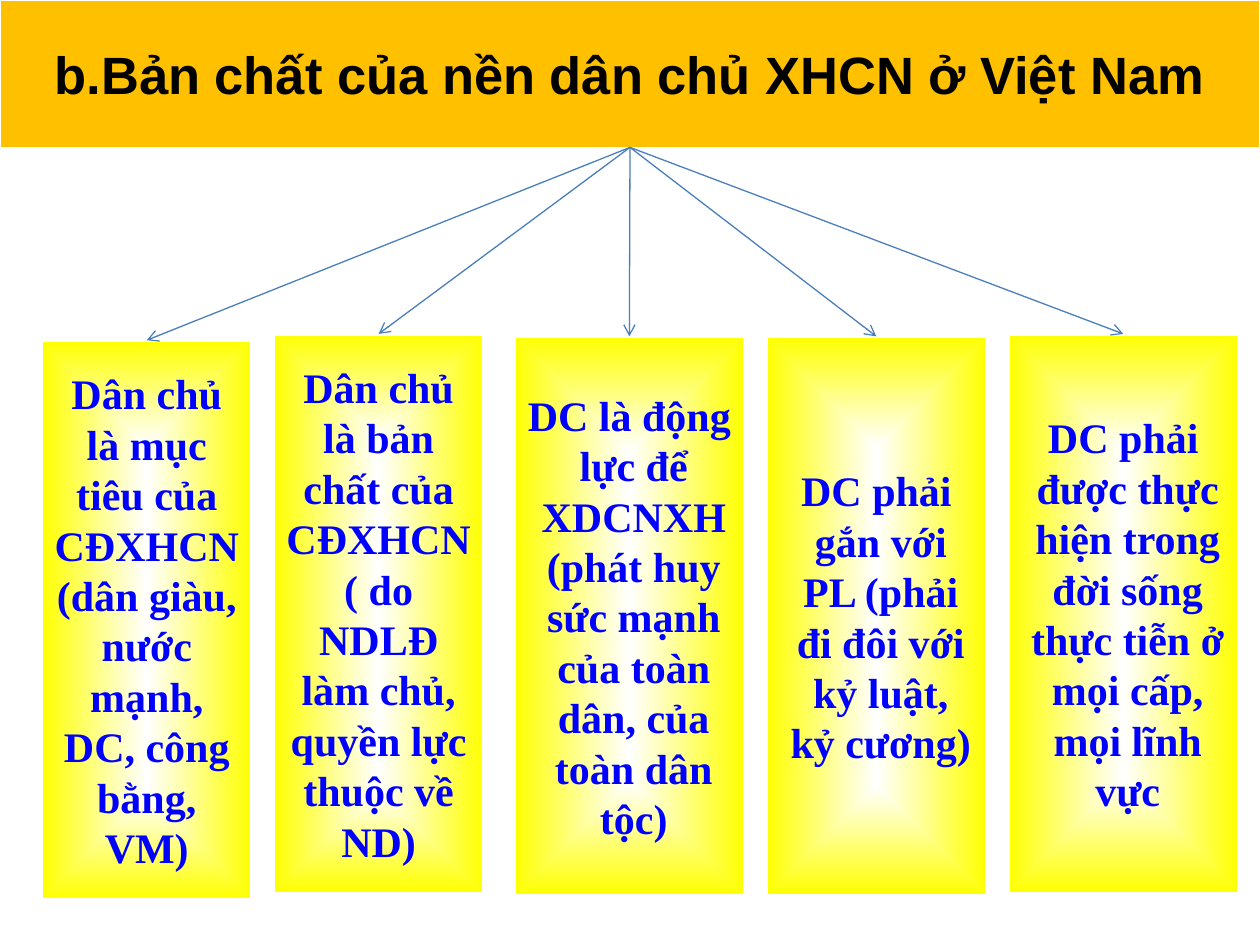
from lxml import etree
from pptx import Presentation
from pptx.dml.color import RGBColor
from pptx.enum.shapes import MSO_CONNECTOR, MSO_SHAPE
from pptx.enum.text import MSO_ANCHOR, MSO_AUTO_SIZE, PP_ALIGN
from pptx.oxml import parse_xml
from pptx.oxml.ns import nsdecls, qn
from pptx.util import Inches, Pt

STRAIGHT = MSO_CONNECTOR.STRAIGHT
RECTANGLE = MSO_SHAPE.RECTANGLE
MIDDLE = MSO_ANCHOR.MIDDLE
CENTER = PP_ALIGN.CENTER

WHITE = RGBColor(0xFF, 0xFF, 0xFF)
BLACK = RGBColor(0x00, 0x00, 0x00)
ORANGE = RGBColor(0xFF, 0xC0, 0x00)
YELLOW = RGBColor(0xFF, 0xFF, 0x00)
BLUE = RGBColor(0x00, 0x00, 0xFF)
ARROW_BLUE = RGBColor(0x4B, 0x7E, 0xBC)

BANNER_HEIGHT = 1.17
BOX_HEIGHT = 4.44

# left, top, width, hanging indent, text
BOXES = [
    (0.33, 2.7, 1.67, 0,
     "Dân chủ là mục tiêu của CĐXHCN (dân giàu, nước mạnh, DC, công bằng, VM)"),
    (2.17, 2.65, 1.67, 0,
     "Dân chủ là bản chất của CĐXHCN ( do NDLĐ làm chủ, quyền lực thuộc về ND)"),
    (4.08, 2.67, 1.83, 0.07,
     "DC là động lực để XDCNXH (phát huy sức mạnh của toàn dân, của toàn dân tộc)"),
    (6.08, 2.67, 1.75, 0.07,
     "DC phải gắn với PL (phải đi đôi với kỷ luật, kỷ cương)"),
    (8, 2.65, 1.83, 0.07,
     "DC phải được thực hiện trong đời sống thực tiễn ở mọi cấp, mọi lĩnh vực"),
]


def write_text(shape, text, font_name, size, color):
    text_frame = shape.text_frame
    text_frame.text = text
    text_frame.vertical_anchor = MIDDLE
    paragraph = text_frame.paragraphs[0]
    paragraph.alignment = CENTER
    font = paragraph.runs[0].font
    font.name = font_name
    font.size = Pt(size)
    font.bold = True
    font.color.rgb = color
    return paragraph


def fill_from_centre(shape, inner, outer):
    """Fill with a gradient that spreads from the middle to the edges."""
    shape.fill.gradient()
    for stop, color in zip(shape.fill.gradient_stops, (inner, outer)):
        stop.color.rgb = color
    gradient = shape._element.spPr.find(qn("a:gradFill"))
    gradient.replace(gradient.find(qn("a:lin")), parse_xml(
        f'<a:path {nsdecls("a")} path="shape">'
        '<a:fillToRect l="50000" t="50000" r="50000" b="50000"/></a:path>'))


presentation = Presentation()
presentation.slide_width = Inches(10)
presentation.slide_height = Inches(7.5)
slide = presentation.slides.add_slide(presentation.slide_layouts[5])

title = slide.shapes.title
title.left, title.top = Inches(0), Inches(0)
title.width, title.height = Inches(10), Inches(BANNER_HEIGHT)
title.fill.solid()
title.fill.fore_color.rgb = ORANGE
title.line.color.rgb = WHITE
title.line.width = Pt(0.75)
write_text(title, "b.Bản chất của nền dân chủ XHCN ở Việt Nam", "Arial", 30, BLACK)
title.text_frame.word_wrap = False
title.text_frame.auto_size = MSO_AUTO_SIZE.NONE

for left, top, width, indent, text in BOXES:
    box = slide.shapes.add_shape(
        RECTANGLE, Inches(left), Inches(top), Inches(width), Inches(BOX_HEIGHT))
    box.shadow.inherit = False
    fill_from_centre(box, WHITE, YELLOW)
    box.line.color.rgb = WHITE
    box.line.width = Pt(2)
    box.text_frame.word_wrap = True
    paragraph = write_text(box, text, "Times New Roman", 24, BLUE)
    if indent:
        properties = paragraph._p.get_or_add_pPr()
        properties.set("marL", str(Inches(indent)))
        properties.set("indent", str(-Inches(indent)))

for left, top, width, indent, text in BOXES:
    arrow = slide.shapes.add_connector(
        STRAIGHT, Inches(5), Inches(BANNER_HEIGHT),
        Inches(left + width / 2), Inches(top))
    arrow.line.color.rgb = ARROW_BLUE
    arrow.line.width = Pt(0.75)
    etree.SubElement(arrow.line._get_or_add_ln(), qn("a:tailEnd"), type="arrow")
    etree.SubElement(arrow._element.spPr, qn("a:effectLst"))

presentation.save("out.pptx")
